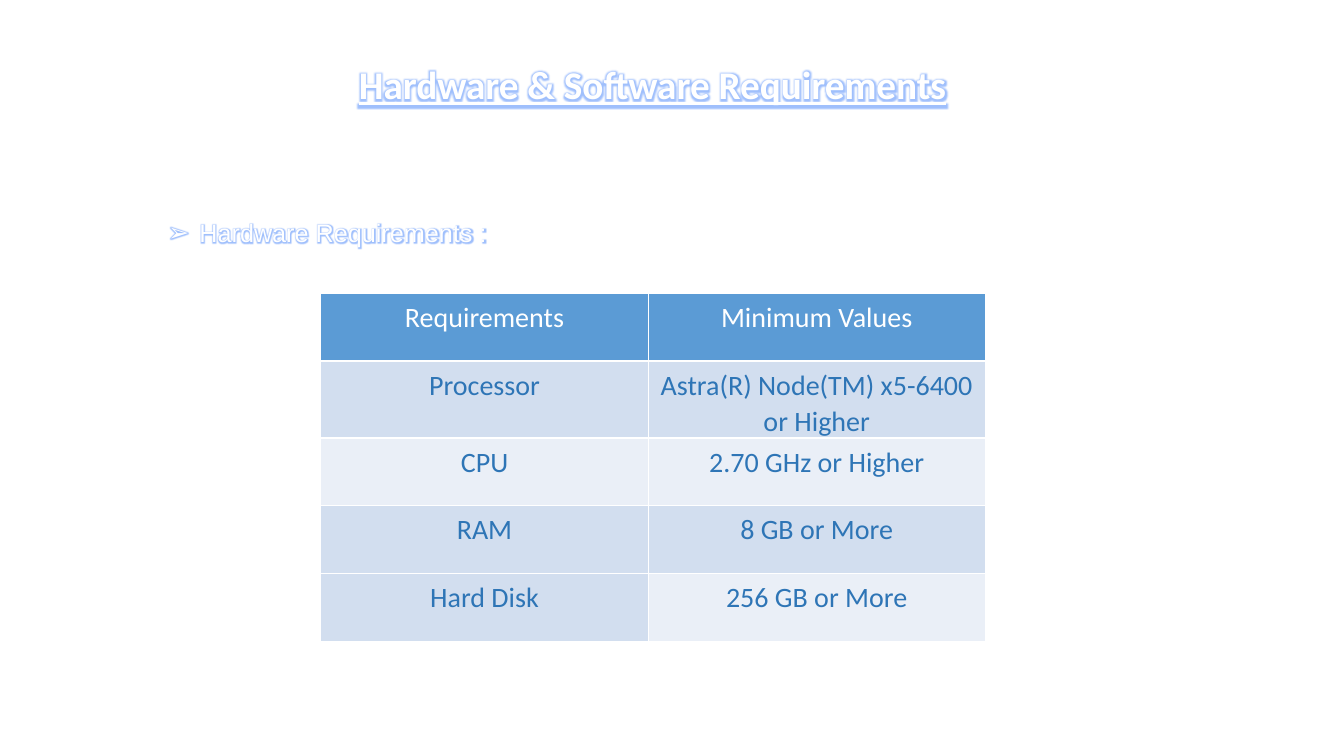
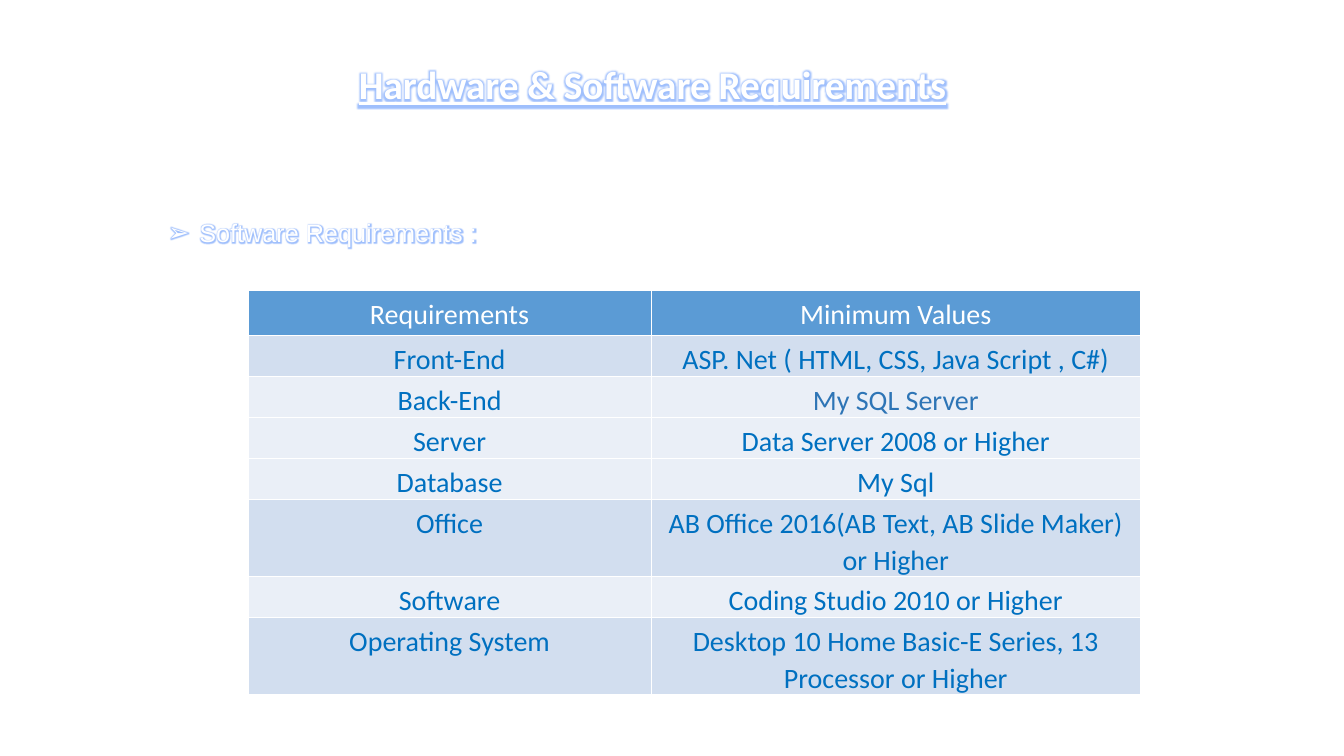
import dataclasses

import lxml.etree
import pptx
import pptx.dml.color
import pptx.enum.text
import pptx.oxml
import pptx.oxml.ns
import pptx.util

ALIGN = pptx.enum.text.PP_ALIGN
ANCHOR = pptx.enum.text.MSO_ANCHOR
FIT = pptx.enum.text.MSO_AUTO_SIZE
INCH = pptx.util.Inches


@dataclasses.dataclass(frozen=True)
class Theme:
    """Hold the colours, fonts, sizes and slide size in inches."""
    wide: float = 13.33
    high: float = 7.5
    white: str = "FFFFFF"
    head: str = "5B9BD5"
    dark: str = "D2DEEF"
    light: str = "EAEFF7"
    steel: str = "2E75B6"
    blue: str = "0070C0"
    glow: str = "1060FA"
    sans: str = "Calibri"
    plain: str = "Arial"
    big: int = 28
    mid: int = 20
    small: int = 18


THEME = Theme()
TITLE = "Hardware & Software Requirements"
HEADS = ("Requirements", "Minimum Values")
HARD = [
    ("Processor", "Astra(R) Node(TM) x5-6400 or Higher"),
    ("CPU", "2.70 GHz or Higher"),
    ("RAM", "8 GB or More"),
    ("Hard Disk", "256 GB or More"),
]
SOFT = [
    ("Front-End", "ASP. Net ( HTML, CSS, Java Script , C#)"),
    ("Back-End", "My SQL Server"),
    ("Server", "Data Server 2008 or Higher"),
    ("Database", "My Sql"),
    ("Office", "AB Office 2016(AB Text, AB Slide Maker) or Higher"),
    ("Software", "Coding Studio 2010 or Higher"),
    ("Operating System", "Desktop 10 Home Basic-E Series, 13 Processor or Higher"),
]


def across(share):
    """Turn a percentage of the slide width into a length."""
    return INCH(THEME.wide * share / 100)


def down(share):
    """Turn a percentage of the slide height into a length."""
    return INCH(THEME.high * share / 100)


def area(left, top, width, height):
    """Turn four percentages into a position and a size."""
    return across(left), down(top), across(width), down(height)


def paint(fill, tint):
    """Give a fill one solid colour."""
    fill.solid()
    fill.fore_color.rgb = pptx.dml.color.RGBColor.from_string(tint)


def node(mark):
    """Build one drawing element from its markup."""
    space = pptx.oxml.ns.nsdecls("a")
    name, rest = mark.split(" ", 1)
    return pptx.oxml.parse_xml(f"<a:{name} {space} {rest}")


def write(frame, text, size=THEME.mid, face=THEME.sans, tint=THEME.white,
          bold=False, under=False, align=ALIGN.CENTER, space=None,
          inset=0, hang=0, mark=None, glow=False):
    """Write one formatted paragraph into a text frame."""
    para = frame.paragraphs[0]
    para.alignment = align
    if space:
        para.line_spacing = space
    props = para._p.get_or_add_pPr()
    props.set("marL", str(INCH(inset)))
    props.set("indent", str(INCH(hang)))
    if mark:
        props.append(node(f'buFont typeface="{face}"/>'))
        props.append(node(f'buChar char="{mark}"/>'))
    run = para.add_run()
    run.text = text
    font = run.font
    font.size, font.name = pptx.util.Pt(size), face
    font.bold, font.underline = bold, under
    paint(font.fill, tint)
    if glow:
        halo = node(f'effectLst ><a:glow rad="63500"><a:srgbClr val="{THEME.glow}">'
                    '<a:alpha val="40000"/></a:srgbClr></a:glow></a:effectLst>')
        solid = run._r.get_or_add_rPr().find(pptx.oxml.ns.qn("a:solidFill"))
        solid.addnext(halo)


def title(slide):
    """Place and format the slide title."""
    box = slide.shapes.title
    box.left, box.top, box.width, box.height = area(16.58, 7.33, 63.92, 7.6)
    frame = box.text_frame
    frame.word_wrap, frame.auto_size = True, FIT.SHAPE_TO_FIT_TEXT
    frame.vertical_anchor = ANCHOR.TOP
    write(frame, TITLE, size=THEME.big, bold=True, under=True, glow=True)


def label(slide, text, width):
    """Add the bulleted heading above the table."""
    frame = slide.shapes.add_textbox(*area(11.78, 28.13, width, 5.33)).text_frame
    frame.word_wrap, frame.auto_size = False, FIT.SHAPE_TO_FIT_TEXT
    write(frame, text, size=THEME.small, face=THEME.plain, align=ALIGN.LEFT,
          inset=0.31, hang=-0.31, mark="➢", glow=True)


def edge(cell):
    """Draw thin white borders round a cell."""
    props = cell._tc.get_or_add_tcPr()
    for side in "LRTB":
        line = node(f'ln{side} w="12700"/>')
        line.append(node(f'solidFill ><a:srgbClr val="{THEME.white}"/></a:solidFill>'))
        props.append(line)


def fill(cell, text, back, tint, pad):
    """Set the text, margins, borders and fill of a cell."""
    cell.margin_left, cell.margin_top = 0, INCH(0.05)
    cell.margin_right, cell.margin_bottom = INCH(pad), 0
    edge(cell)
    paint(cell.fill, back)
    write(cell.text_frame, text, tint=tint, space=1.07, inset=pad)


def grid(slide, left, top, cols, rows, data, backs, tint, pad, odd):
    """Add a table with a header row, where odd maps cells to other colours."""
    place = area(left, top, sum(cols), sum(rows))
    table = slide.shapes.add_table(len(rows), len(cols), *place).table
    for col, width in zip(table.columns, cols):
        col.width = across(width)
    for row, height in zip(table.rows, rows):
        row.height = down(height)
    for r, words in enumerate([HEADS, *data]):
        for c, text in enumerate(words):
            back, ink = (backs[r - 1], tint) if r else (THEME.head, THEME.white)
            back, ink = odd.get((r, c), (back, ink))
            fill(table.cell(r, c), text, back, ink, pad if r else 0.02)


def page(deck, text, width, **spec):
    """Add a slide with its title, heading and table."""
    slide = deck.slides.add_slide(deck.slide_layouts[5])
    title(slide)
    label(slide, text, width)
    grid(slide, **spec)


def main():
    """Build and save the deck."""
    deck = pptx.Presentation()
    deck.slide_width, deck.slide_height = INCH(THEME.wide), INCH(THEME.high)
    dark, light = THEME.dark, THEME.light
    page(deck, "Hardware Requirements :", 25.43, left=23.86, top=38.8,
         cols=[24.38, 25.06], rows=[8.97] * 5, data=HARD,
         backs=[dark, light, dark, dark], tint=THEME.steel, pad=0.02,
         odd={(4, 1): (light, THEME.steel)})
    page(deck, "Software Requirements :", 24.68, left=18.45, top=38.4,
         cols=[30, 36.4], rows=[6, *[4.8] * 4, 8.53, 4.8, 8.53], data=SOFT,
         backs=[dark, light, light, light, dark, light, dark],
         tint=THEME.blue, pad=0.04, odd={(2, 1): (light, THEME.steel)})
    deck.save("out.pptx")


if __name__ == "__main__":
    main()
